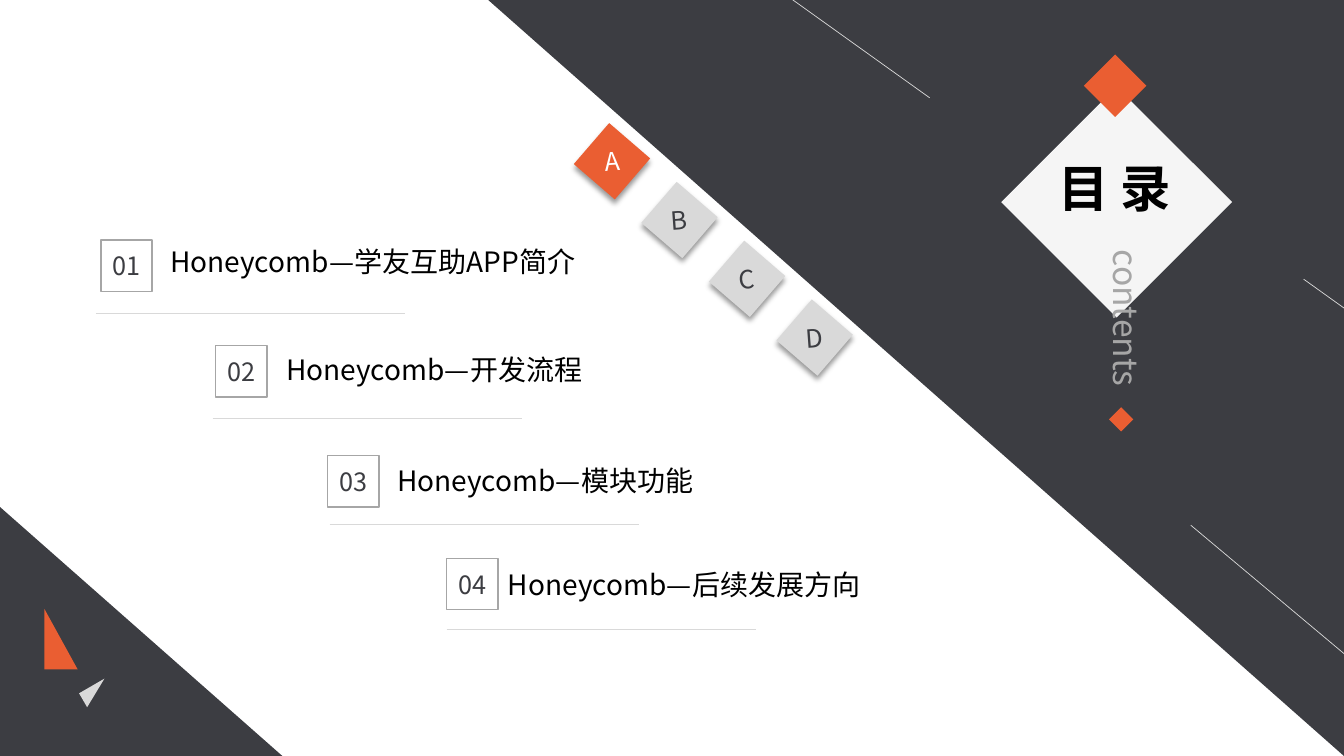
from lxml import etree
from pptx import Presentation
from pptx.dml.color import RGBColor
from pptx.enum.shapes import MSO_CONNECTOR, MSO_SHAPE
from pptx.enum.text import MSO_ANCHOR, MSO_AUTO_SIZE, PP_ALIGN
from pptx.oxml import parse_xml
from pptx.oxml.ns import nsdecls, qn
from pptx.util import Inches, Pt

DIAMOND, SQUARE, TRIANGLE = MSO_SHAPE.DIAMOND, MSO_SHAPE.RECTANGLE, MSO_SHAPE.RIGHT_TRIANGLE
STRAIGHT = MSO_CONNECTOR.STRAIGHT
TOP, MIDDLE = MSO_ANCHOR.TOP, MSO_ANCHOR.MIDDLE
LEFT, CENTER = PP_ALIGN.LEFT, PP_ALIGN.CENTER
NO_FIT = MSO_AUTO_SIZE.NONE

CHARCOAL = RGBColor(0x3C, 0x3D, 0x42)
ORANGE = RGBColor(0xEA, 0x5E, 0x32)
OFF_WHITE = RGBColor(0xF5, 0xF5, 0xF5)
SILVER = RGBColor(0xD9, 0xD9, 0xD9)
GRAY = RGBColor(0xA6, 0xA6, 0xA6)
BLACK = RGBColor(0, 0, 0)
WHITE = RGBColor(0xFF, 0xFF, 0xFF)
FONT = "Noto Sans CJK SC"

TITLE = "目 录"
SUBTITLE = "contents"
# number, heading, left and top of the square, left and top of the heading
ENTRIES = [
    ("01", "Honeycomb—学友互助APP简介", (1.0, 2.38), (1.59, 2.38)),
    ("02", "Honeycomb—开发流程", (2.14, 3.43), (2.74, 3.45)),
    ("03", "Honeycomb—模块功能", (3.25, 4.52), (3.84, 4.55)),
    ("04", "Honeycomb—后续发展方向", (4.43, 5.54), (4.94, 5.58)),
]
LETTERS = "ABCD"
PANELS = [
    [(4.82, -0.02), (13.33, 7.5), (13.35, -0.02)],
    [(0, 5.03), (2.8, 7.5), (-0.03, 7.53)],
]
STREAKS = [
    ((7.25, -0.44), (9.22, 0.97)),
    ((11.81, 5.21), (13.79, 6.87)),
    ((12.93, 2.77), (14.9, 4.18)),
]
TRIANGLES = [((0.44, 6.04, 0.33, 0.6), ORANGE, 0), ((0.87, 6.73, 0.16, 0.29), SILVER, 60)]

SHADOW = (
    f'<a:effectLst {nsdecls("a")}><a:outerShdw blurRad="{Pt(4)}" dist="{Pt(3)}" dir="5400000" '
    'algn="t" rotWithShape="0"><a:srgbClr val="000000"><a:alpha val="40000"/></a:srgbClr>'
    "</a:outerShdw></a:effectLst>"
)


def inches(values):
    return [Inches(value) for value in values]


def write(shape, text, size, color, align=CENTER, anchor=MIDDLE, bold=False):
    frame = shape.text_frame
    frame_format = {"word_wrap": True, "auto_size": NO_FIT, "vertical_anchor": anchor}
    for name, value in frame_format.items():
        setattr(frame, name, value)
    para = frame.paragraphs[0]
    para.alignment = align
    para.line_spacing = 1.0
    span = para.add_run()
    span.text = text
    for name, value in {"name": FONT, "size": Pt(size), "bold": bold}.items():
        setattr(span.font, name, value)
    span.font.color.rgb = color
    east_asian = etree.SubElement(span._r.get_or_add_rPr(), qn("a:ea"))
    east_asian.set("typeface", FONT)


def add_plain(page, kind, at, fill=None, line=None, rotation=0):
    shape = page.shapes.add_shape(kind, *inches(at))
    paint(shape, fill, line)
    shape.rotation = rotation
    return shape


def paint(shape, fill, line=None):
    shape.shadow.inherit = False
    if fill is None:
        shape.fill.background()
    else:
        shape.fill.solid()
        shape.fill.fore_color.rgb = fill
    if line is None:
        shape.line.fill.background()
    else:
        shape.line.color.rgb = line
        shape.line.width = Pt(1)


def add_rule(page, start, end, width):
    rule = page.shapes.add_connector(STRAIGHT, *inches(start + end))
    rule.line.color.rgb = SILVER
    rule.line.width = Pt(width)
    etree.SubElement(rule._element.spPr, qn("a:effectLst"))


def add_panel(page, corners):
    first, *others = [inches(corner) for corner in corners]
    outline = page.shapes.build_freeform(*first)
    outline.add_line_segments(others, close=True)
    paint(outline.convert_to_shape(), CHARCOAL)


def add_heading(page):
    add_plain(page, DIAMOND, (9.93, 0.86, 2.29, 2.29), OFF_WHITE)
    add_plain(page, DIAMOND, (10.75, 0.54, 0.62, 0.62), ORANGE)
    title = page.shapes.title
    title.left, title.top, title.width, title.height = inches((10.31, 1.51, 1.5, 0.71))
    write(title, TITLE, 36, BLACK, anchor=TOP, bold=True)
    page.shapes._spTree.append(title._element)  # in front of the diamonds
    subtitle = page.shapes.add_textbox(*inches((10.82, 2.38, 0.61, 1.64)))
    write(subtitle, SUBTITLE, 24, GRAY, anchor=TOP)
    subtitle.text_frame._txBody.bodyPr.set("vert", "eaVert")
    add_plain(page, DIAMOND, (11, 4.04, 0.24, 0.24), ORANGE)


def add_letters(page):
    for index, letter in enumerate(LETTERS):
        fill, color = (SILVER, CHARCOAL) if index else (ORANGE, WHITE)
        at = (5.69 + 0.67 * index, 1.22 + 0.583 * index, 0.76, 0.76)
        tile = add_plain(page, DIAMOND, at, fill, rotation=355.8)
        write(tile, letter, 18, color)
        for side in ("left", "right", "top", "bottom"):
            setattr(tile.text_frame, f"margin_{side}", 0)
        properties = tile._element.spPr
        properties.replace(properties.find(qn("a:effectLst")), parse_xml(SHADOW))


def add_entries(page):
    for index, (number, heading, square_at, heading_at) in enumerate(ENTRIES):
        label = page.shapes.add_textbox(*inches(heading_at + (4.66, 0.44)))
        write(label, heading, 20, BLACK, align=LEFT, anchor=TOP)
        square = add_plain(page, SQUARE, square_at + (0.51, 0.51), line=GRAY)
        write(square, number, 18, CHARCOAL)
        left, top = 0.95 + 1.16 * index, 3.11 + 1.043 * index
        add_rule(page, (left, top), (left + 3.07, top), 0.25)


def main():
    deck = Presentation()
    deck.slide_width, deck.slide_height = inches((13.33, 7.5))
    page = deck.slides.add_slide(deck.slide_layouts[5])
    for corners in PANELS:
        add_panel(page, corners)
    add_heading(page)
    for start, end in STREAKS:
        add_rule(page, start, end, 0.5)
    add_letters(page)
    add_entries(page)
    for at, fill, rotation in TRIANGLES:
        add_plain(page, TRIANGLE, at, fill, rotation=rotation)
    deck.save("out.pptx")


if __name__ == "__main__":
    main()
